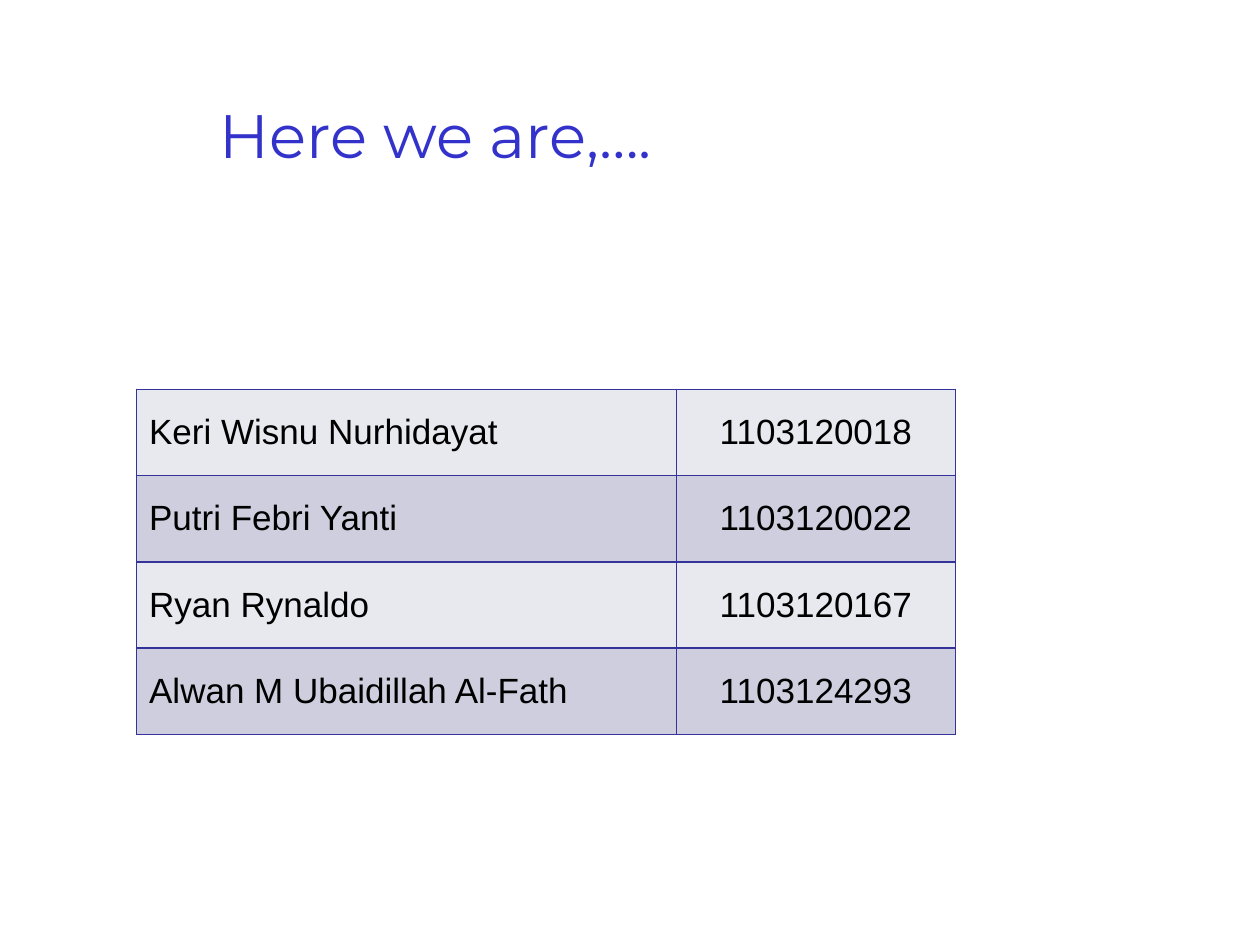
from lxml.etree import SubElement
from pptx import Presentation
from pptx.dml.color import RGBColor
from pptx.enum.text import MSO_ANCHOR as Anchor, PP_ALIGN as Align
from pptx.oxml.ns import qn
from pptx.util import Pt

COLORS = {
    "title": "3333CC",
    "text": "000000",
    "border": "333399",
    "light_row": "E8E8EF",
    "dark_row": "CECEDE",
}
MEMBERS = [
    ("Keri Wisnu Nurhidayat", "1103120018"),
    ("Putri Febri Yanti", "1103120022"),
    ("Ryan Rynaldo", "1103120167"),
    ("Alwan M Ubaidillah Al-Fath", "1103124293"),
]


def write(text_frame, text, size=20, font="Arial", color="text", align=Align.LEFT):
    paragraph = text_frame.paragraphs[0]
    paragraph.alignment = align
    run = paragraph.add_run()
    run.text = text
    run.font.size = Pt(size)
    run.font.name = font
    run.font.color.rgb = RGBColor.from_string(COLORS[color])


class SlideBuilder:
    border_width = 1
    row_fills = ("light_row", "dark_row")

    def __init__(self, slide):
        self.slide = slide

    def title(self, text, left, top, width, height):
        shape = self.slide.shapes.title
        shape.left, shape.top = Pt(left), Pt(top)
        shape.width, shape.height = Pt(width), Pt(height)
        shape.text_frame.word_wrap = True
        shape.text_frame.vertical_anchor = Anchor.MIDDLE
        write(shape.text_frame, text, size=35, font="Montserrat",
              color="title", align=Align.CENTER)

    def border(self, cell):
        properties = cell._tc.get_or_add_tcPr()
        for position, side in enumerate(("lnL", "lnR", "lnT", "lnB")):
            line = SubElement(properties, qn(f"a:{side}"), w=str(Pt(self.border_width)))
            properties.insert(position, line)
            fill = SubElement(line, qn("a:solidFill"))
            SubElement(fill, qn("a:srgbClr"), val=COLORS["border"])

    def table(self, rows, left, top, column_widths, row_height, alignments):
        table = self.slide.shapes.add_table(
            len(rows), len(column_widths), Pt(left), Pt(top),
            Pt(sum(column_widths)), Pt(row_height * len(rows))).table
        table.first_row = False
        table.horz_banding = False
        for column, width in zip(table.columns, column_widths):
            column.width = Pt(width)
        for index, values in enumerate(rows):
            table.rows[index].height = Pt(row_height)
            fill_name = self.row_fills[index % len(self.row_fills)]
            for cell, value, align in zip(table.rows[index].cells, values, alignments):
                cell.vertical_anchor = Anchor.MIDDLE
                cell.fill.solid()
                cell.fill.fore_color.rgb = RGBColor.from_string(COLORS[fill_name])
                self.border(cell)
                write(cell.text_frame, value, align=align)


presentation = Presentation()
presentation.slide_width = Pt(720)
presentation.slide_height = Pt(540)
slide = presentation.slides.add_slide(presentation.slide_layouts.get_by_name("Title Only"))
builder = SlideBuilder(slide)
builder.title("Here we are,….", 24, 54, 450, 45)
builder.table(MEMBERS, left=78, top=222.5, column_widths=(308.5, 159.5),
              row_height=49.3, alignments=(Align.LEFT, Align.CENTER))
presentation.save("out.pptx")
